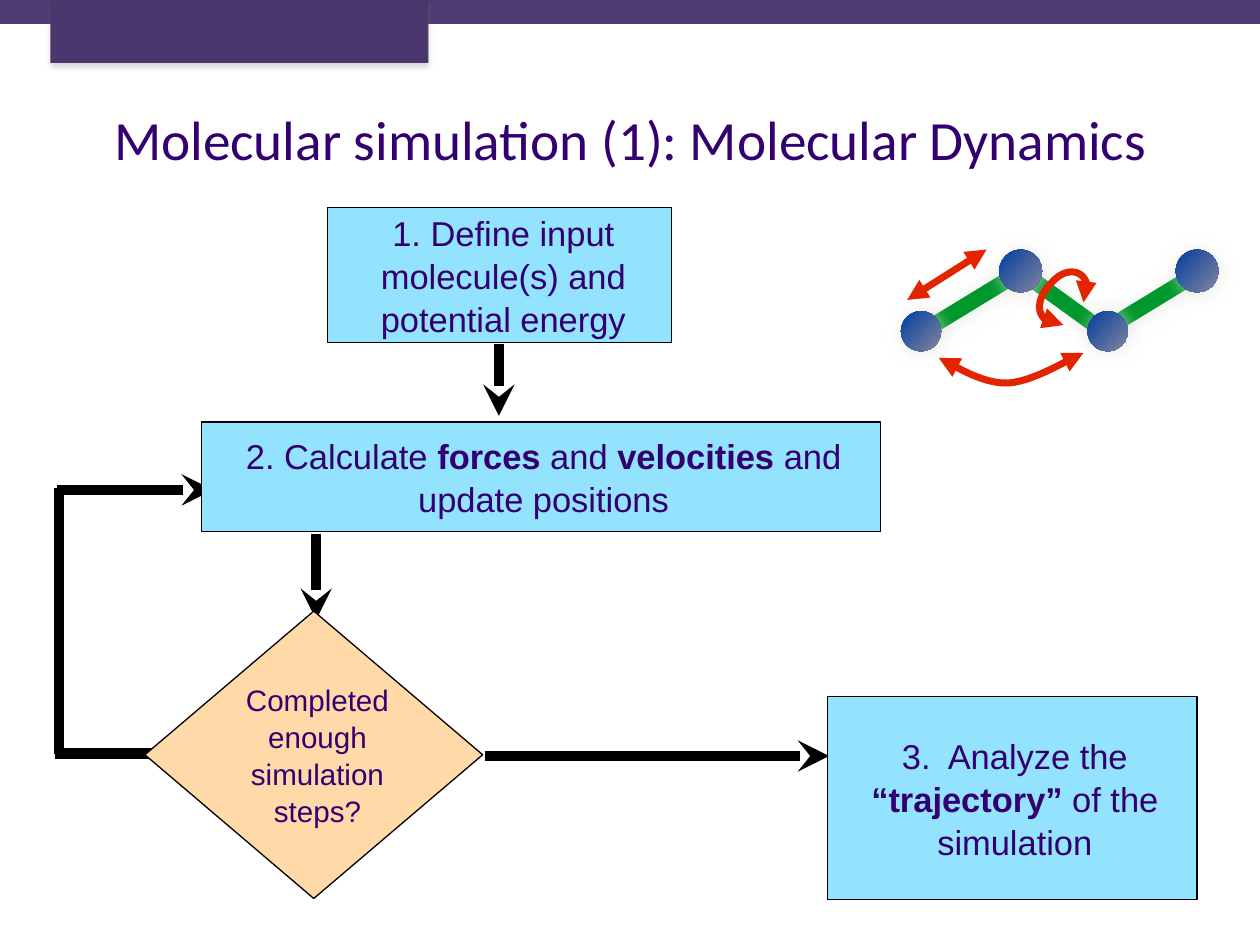
"""Build a slide with a flowchart of a molecular dynamics simulation."""
from dataclasses import dataclass
from typing import Any, NamedTuple, Optional

from pptx import Presentation
from pptx import util as u
from pptx.dml.color import RGBColor
from pptx.enum import shapes, text
from pptx.oxml.xmlchemy import OxmlElement

COLORS = {
    "band": "4A376E", "text": "33006F", "box": "94E3FE", "decision": "FFD9A8",
    "outline": "000000", "bond": "00972C", "motion": "E32400",
    "atom_start": "003E9E", "atom_end": "84859F",
    "tab_shadow": "929292", "molecule_shadow": "E6E7E0",
}
SHAPE = shapes.MSO_SHAPE


class Shadow(NamedTuple):
    color: str
    opacity: int
    blur: float
    distance: float
    angle: int


class Line(NamedTuple):
    start: tuple[float, float]
    end: tuple[float, float]
    head: Optional[str] = None
    tail: Optional[str] = None


class Atom(NamedTuple):
    left: float
    top: float
    diameter: float


@dataclass
class Step:
    kind: Any
    frame: tuple[float, float, float, float]
    fill: str
    size: float
    indent: float
    runs: list[tuple[str, bool]]


TAB_SHADOW = Shadow("tab_shadow", 35, 3, 2, 90)
MOLECULE_SHADOW = Shadow("molecule_shadow", 75, 10, 1, 45)

STEPS = [
    Step(SHAPE.RECTANGLE, (187.2, 118.8, 196.6, 77), "box", 19.7, 4.3,
         [("1. Define input molecule(s) and potential energy", False)]),
    Step(SHAPE.RECTANGLE, (115.2, 241.2, 388, 62.6), "box", 19.7, 2.9,
         [("2. Calculate ", False), ("forces", True), (" and ", False),
          ("velocities", True), (" and update positions", False)]),
    Step(SHAPE.RECTANGLE, (473, 398.2, 211, 116), "box", 19.7, 2.9,
         [("3.  Analyze the ", False), ("“trajectory”", True),
          (" of the simulation", False)]),
    Step(SHAPE.DIAMOND, (82.8, 349.2, 193, 164.2), "decision", 16.9, 4.3,
         [("Completed enough simulation steps?", False)]),
]
FLOW_LINES = [
    Line((285.1, 237.6), (285.1, 196.6), "stealth"),
    Line((180.7, 354.2), (180.7, 305.3), "stealth"),
    Line((473.8, 432), (277.2, 432), "stealth"),
    Line((33.8, 278.6), (33.8, 430.6)),
    Line((121.7, 280), (32.4, 280), "stealth"),
    Line((121, 430.6), (31.7, 430.6)),
]
BONDS = [
    Line((685.4, 155.5), (635.8, 185.8)),
    Line((627.8, 187.2), (583.9, 155.5)),
    Line((576, 159.8), (526.3, 190.1)),
]
ATOMS = [Atom(514.8, 177.8, 23), Atom(571, 142.6, 24.5),
         Atom(621.4, 177.8, 23), Atom(671.8, 142.6, 24.5)]
TORSION = [(607.7, 185.8), (602.6, 185), (595.4, 184.3), (587.5, 174.2), (602.6, 159.8),
           (613.4, 149.8), (624.2, 158.4), (620.6, 168.5), (619.2, 172.8)]
BENDING = [(536.4, 204.5), (540.7, 206.6), (545, 208.8), (561.6, 219.6), (576, 218.9),
           (589.7, 218.2), (608.4, 206.6), (614.9, 203.8), (619.2, 201.6)]
STRETCH = Line((518.4, 171.4), (563.8, 142.6), "triangle", "triangle")


def rgb(name: str) -> RGBColor:
    """Return a named colour."""
    return RGBColor.from_string(COLORS[name])


def apply(target: Any, values: dict[str, Any]) -> None:
    """Set every attribute in values on target."""
    for name, value in values.items():
        setattr(target, name, value)


def add_child(parent: Any, tag: str, **attributes: Any) -> Any:
    """Append an XML child with the given attributes."""
    child = OxmlElement(tag)
    for name, value in attributes.items():
        child.set(name, str(value))
    parent.append(child)
    return child


def set_shadow(shape: Any, shadow: Optional[Shadow] = None) -> None:
    """Replace the theme shadow with the given one or none."""
    effects = add_child(shape._element.spPr, "a:effectLst")
    if shadow:
        outer = add_child(effects, "a:outerShdw", blurRad=u.Pt(shadow.blur),
                          dist=u.Pt(shadow.distance), dir=shadow.angle * 60000,
                          rotWithShape=0)
        color = add_child(outer, "a:srgbClr", val=COLORS[shadow.color])
        add_child(color, "a:alpha", val=shadow.opacity * 1000)


def set_line(shape: Any, color: str, width: float, head: Optional[str] = None,
             tail: Optional[str] = None) -> None:
    """Format a line and its arrowheads."""
    shape.line.color.rgb = rgb(color)
    shape.line.width = u.Pt(width)
    for tag, kind in (("a:headEnd", head), ("a:tailEnd", tail)):
        if kind:
            add_child(shape.line._get_or_add_ln(), tag, type=kind)


def add_line(slide: Any, line: Line, color: str, width: float,
             shadow: Optional[Shadow] = None) -> None:
    """Draw a straight line."""
    connector = slide.shapes.add_connector(
        shapes.MSO_CONNECTOR.STRAIGHT, *map(u.Pt, line.start + line.end))
    set_line(connector, color, width, line.head, line.tail)
    set_shadow(connector, shadow)


def add_band(slide: Any, frame: tuple[float, ...], opacity: int,
             shadow: Optional[Shadow] = None) -> None:
    """Draw a purple header rectangle."""
    band = slide.shapes.add_shape(SHAPE.RECTANGLE, *map(u.Pt, frame))
    band.fill.solid()
    band.fill.fore_color.rgb = rgb("band")
    add_child(band.fill._xPr.solidFill[0], "a:alpha", val=opacity * 1000)
    band.line.fill.background()
    set_shadow(band, shadow)


def add_atom(slide: Any, atom: Atom) -> None:
    """Draw a shaded atom."""
    ball = slide.shapes.add_shape(
        SHAPE.OVAL, *map(u.Pt, (atom.left, atom.top, atom.diameter, atom.diameter)))
    ball.fill.gradient()
    ball.fill.gradient_angle = 317
    for stop, name in zip(ball.fill.gradient_stops, ("atom_start", "atom_end")):
        stop.color.rgb = rgb(name)
    ball.line.fill.background()
    set_shadow(ball, MOLECULE_SHADOW)


def bezier(points: list[tuple[float, float]], t: float) -> tuple[float, ...]:
    """Return the point at t on a cubic curve."""
    weights = ((1 - t) ** 3, 3 * t * (1 - t) ** 2, 3 * t * t * (1 - t), t ** 3)
    return tuple(sum(w * p[axis] for w, p in zip(weights, points)) for axis in (0, 1))


def add_curve(slide: Any, points: list[tuple[float, float]]) -> None:
    """Draw a double arrow along two cubic curves with straight ends."""
    track = [points[1]]
    for first in (1, 4):
        track += [bezier(points[first:first + 4], step / 12) for step in range(1, 13)]
    track.append(points[-1])
    builder = slide.shapes.build_freeform(*map(u.Pt, points[0]))
    builder.add_line_segments([(u.Pt(x), u.Pt(y)) for x, y in track], close=False)
    curve = builder.convert_to_shape()
    curve.fill.background()
    set_line(curve, "motion", 4, "triangle", "triangle")
    set_shadow(curve)


def add_step(slide: Any, step: Step) -> None:
    """Draw a flowchart step with its text."""
    shape = slide.shapes.add_shape(step.kind, *map(u.Pt, step.frame))
    shape.fill.solid()
    shape.fill.fore_color.rgb = rgb(step.fill)
    set_line(shape, "outline", 0.75)
    set_shadow(shape)
    margins = {f"margin_{side}": u.Pt(3) for side in ("left", "top", "right", "bottom")}
    apply(shape.text_frame, {"word_wrap": True, "vertical_anchor": text.MSO_ANCHOR.MIDDLE,
                             **margins})
    paragraph = shape.text_frame.paragraphs[0]
    apply(paragraph, {"alignment": text.PP_ALIGN.CENTER, "line_spacing": 1.04})
    paragraph._p.get_or_add_pPr().set("marL", str(u.Pt(step.indent)))
    for content, bold in step.runs:
        run = paragraph.add_run()
        run.text = content
        apply(run.font, {"name": "Arial", "size": u.Pt(step.size), "bold": bold})
        run.font.color.rgb = rgb("text")


def add_title(slide: Any, content: str) -> None:
    """Place and format the title."""
    title = slide.shapes.title
    apply(title, {"left": u.Pt(36), "top": u.Pt(54), "width": u.Pt(648), "height": u.Pt(77.8)})
    title.text_frame.text = content
    apply(title.text_frame, {"word_wrap": True, "auto_size": text.MSO_AUTO_SIZE.NONE,
                             "vertical_anchor": text.MSO_ANCHOR.TOP, "margin_top": u.Pt(6)})
    paragraph = title.text_frame.paragraphs[0]
    paragraph.alignment = text.PP_ALIGN.CENTER
    apply(paragraph.runs[0].font, {"name": "Calibri", "size": u.Pt(31.6)})
    paragraph.runs[0].font.color.rgb = rgb("text")


def main() -> None:
    """Build and save the presentation."""
    presentation = Presentation()
    apply(presentation, {"slide_width": u.Pt(720), "slide_height": u.Pt(540)})
    slide = presentation.slides.add_slide(presentation.slide_layouts[5])
    add_title(slide, "Molecular simulation (1): Molecular Dynamics")
    add_band(slide, (0, 0, 720, 13.7), 98)
    add_band(slide, (28.8, 0, 216, 36), 100, TAB_SHADOW)
    for bond in BONDS:
        add_line(slide, bond, "bond", 9, MOLECULE_SHADOW)
    for atom in ATOMS:
        add_atom(slide, atom)
    for points in (TORSION, BENDING):
        add_curve(slide, points)
    add_line(slide, STRETCH, "motion", 4)
    for line in FLOW_LINES:
        add_line(slide, line, "outline", 6)
    for step in STEPS:
        add_step(slide, step)
    presentation.save("out.pptx")


if __name__ == "__main__":
    main()
